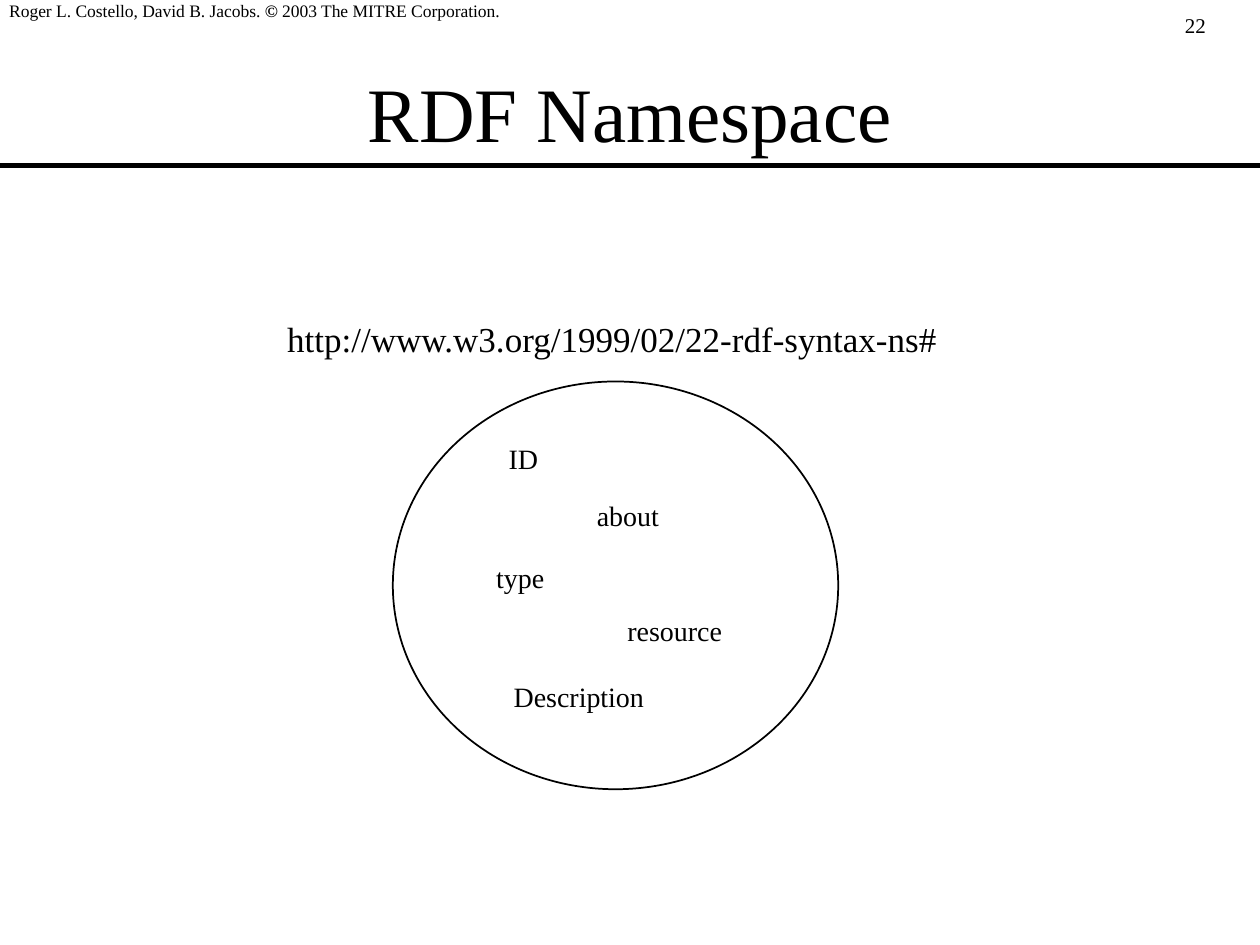
"""Build the RDF Namespace slide: a vocabulary circle under its namespace URI."""
from lxml.etree import SubElement
from pptx import Presentation
from pptx.dml.color import RGBColor
from pptx.enum.shapes import MSO_CONNECTOR as Connector, MSO_SHAPE as Shape
from pptx.enum.text import MSO_ANCHOR as Anchor, PP_ALIGN as Align
from pptx.oxml.ns import qn
from pptx.util import Pt

COLORS = {"ink": "000000", "paper": "FFFFFF"}
FONT = "Times New Roman"
TERMS = [
    ("ID", 283.5, 249, 34),
    ("about", 334, 281.5, 53),
    ("type", 276.5, 317, 45),
    ("resource", 351.5, 347, 72),
    ("Description", 286.5, 385, 92),
]


def color(name):
    return RGBColor.from_string(COLORS[name])


def add_text(slide, text, left, top, width, height, size=16,
             align=Align.LEFT, anchor=Anchor.TOP, bold_part=None):
    frame = slide.shapes.add_textbox(Pt(left), Pt(top), Pt(width), Pt(height)).text_frame
    frame.word_wrap = True
    frame.vertical_anchor = anchor
    paragraph = frame.paragraphs[0]
    paragraph.alignment = align
    before, bold, after = text.partition(bold_part) if bold_part else (text, "", "")
    for part in filter(None, (before, bold, after)):
        run = paragraph.add_run()
        run.text = part
        run.font.name = FONT
        run.font.size = Pt(size)
        run.font.bold = part == bold_part
        run.font.color.rgb = color("ink")


def add_circle(slide, left, top, width, height):
    circle = slide.shapes.add_shape(Shape.OVAL, Pt(left), Pt(top), Pt(width), Pt(height))
    circle.shadow.inherit = False
    circle.fill.solid()
    circle.fill.fore_color.rgb = color("paper")
    circle.line.color.rgb = color("ink")
    circle.line.width = Pt(1)


def add_rule(slide, top, length, weight):
    rule = slide.shapes.add_connector(Connector.STRAIGHT, 0, Pt(top), length, Pt(top))
    rule.line.color.rgb = color("ink")
    rule.line.width = Pt(weight)
    SubElement(rule._element.spPr, qn("a:effectLst"))


def main():
    deck = Presentation()
    deck.slide_width, deck.slide_height = Pt(720), Pt(540)
    slide = deck.slides.add_slide(deck.slide_layouts[6])

    add_text(slide, "22", 670, 3.6, 50, 21.6, size=12)
    add_text(slide, "Roger L. Costello, David B. Jacobs. © 2003 The MITRE Corporation.",
             -1.8, -3.4, 306, 20, size=10, bold_part="©")
    add_text(slide, "RDF Namespace", 54, 19, 612, 90, size=44,
             align=Align.CENTER, anchor=Anchor.MIDDLE)
    add_circle(slide, 224.5, 218, 254.5, 233)
    add_text(slide, "http://www.w3.org/1999/02/22-rdf-syntax-ns#", 157, 178, 390, 31.5, size=20)
    for term, left, top, width in TERMS:
        add_text(slide, term, left, top, width, 26.5)
    add_rule(slide, 94.5, deck.slide_width, 3)

    deck.save("out.pptx")


if __name__ == "__main__":
    main()
